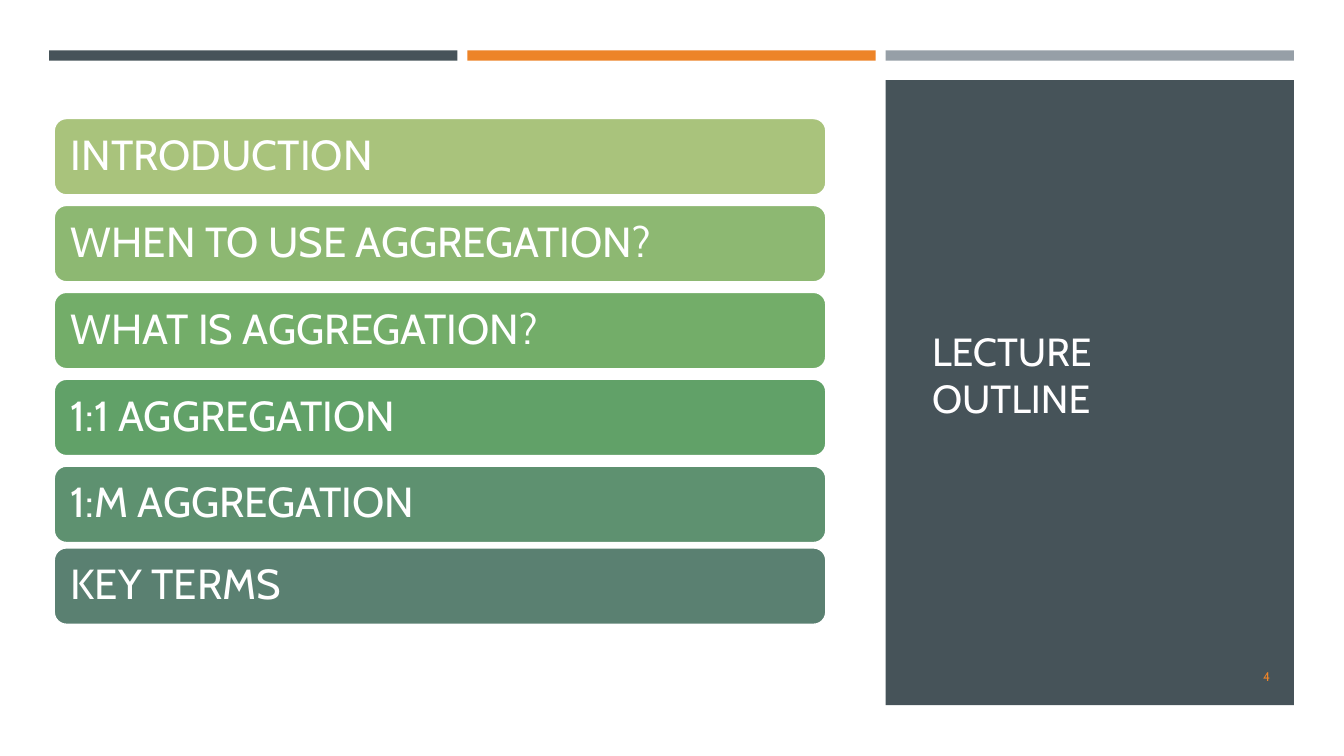
from dataclasses import dataclass

from pptx import Presentation
from pptx import util as u
from pptx.dml.color import RGBColor
from pptx.enum import shapes, text


@dataclass(frozen=True)
class Theme:
    font: str = "Cabin"
    white: str = "FFFFFF"
    title: str = "FFFEFF"
    slate: str = "465359"
    orange: str = "ED8428"
    grey: str = "969FA7"
    topics: tuple = ("A9C37C", "8DB872", "73AD69", "61A168", "5E9170", "5A8071")
    title_size: int = 28
    topic_size: int = 30
    number_size: int = 9


class Deck:
    """Holds the theme and the current slide; all lengths are in centimetres."""

    def __init__(self, theme):
        self.theme = theme
        self.prs = Presentation()
        self.prs.slide_width = u.Cm(33.87)
        self.prs.slide_height = u.Cm(19.05)
        self.s = self.prs.slides.add_slide(self.prs.slide_layouts[6])

    def box(self, x, y, w, h, fill, kind=shapes.MSO_SHAPE.RECTANGLE):
        sp = self.s.shapes.add_shape(kind, u.Cm(x), u.Cm(y), u.Cm(w), u.Cm(h))
        sp.shadow.inherit = False
        sp.fill.solid()
        sp.fill.fore_color.rgb = RGBColor.from_string(fill)
        sp.line.fill.background()
        return sp

    def set_text(self, sp, words, size, color, align=text.PP_ALIGN.LEFT):
        tf = sp.text_frame
        tf.word_wrap = True
        tf.vertical_anchor = text.MSO_ANCHOR.MIDDLE
        p = tf.paragraphs[0]
        p.text = words
        p.alignment = align
        p.font.name = self.theme.font
        p.font.size = u.Pt(size)
        p.font.color.rgb = RGBColor.from_string(color)
        return p

    def label(self, x, y, w, h, *args, **kwargs):
        sp = self.s.shapes.add_textbox(u.Cm(x), u.Cm(y), u.Cm(w), u.Cm(h))
        return self.set_text(sp, *args, **kwargs)

    def topic(self, y, words, fill):
        t = self.theme
        sp = self.box(1.35, y, 19.48, 1.96, fill, shapes.MSO_SHAPE.ROUNDED_RECTANGLE)
        sp.line.color.rgb = RGBColor.from_string(t.white)
        sp.line.width = u.Pt(2)
        sp.text_frame.margin_left = sp.text_frame.margin_right = u.Cm(0.34)
        self.set_text(sp, words, t.topic_size, t.white).line_spacing = 0.9


def main():
    t = Theme()
    deck = Deck(t)

    for i, color in enumerate((t.slate, t.orange, t.grey)):
        deck.box(1.24 + 10.54 * i, 1.27, 10.29, 0.26, color)

    deck.box(22.32, 2.02, 10.29, 15.75, t.slate)
    deck.label(23.24, 2.9, 8.48, 13.08, "LECTURE OUTLINE", t.title_size, t.title)

    topics = ("INTRODUCTION", "WHEN TO USE AGGREGATION?", "WHAT IS AGGREGATION?",
              "1:1 AGGREGATION", "1:M AGGREGATION")
    for i, words in enumerate(topics):
        deck.topic(2.97 + 2.19 * i, words, t.topics[i])
    deck.topic(13.79, "KEY TERMS", t.topics[-1])

    deck.label(29.34, 16.54, 2.92, 1.02, "4", t.number_size, t.orange,
               align=text.PP_ALIGN.RIGHT)

    deck.prs.save("out.pptx")


if __name__ == "__main__":
    main()
